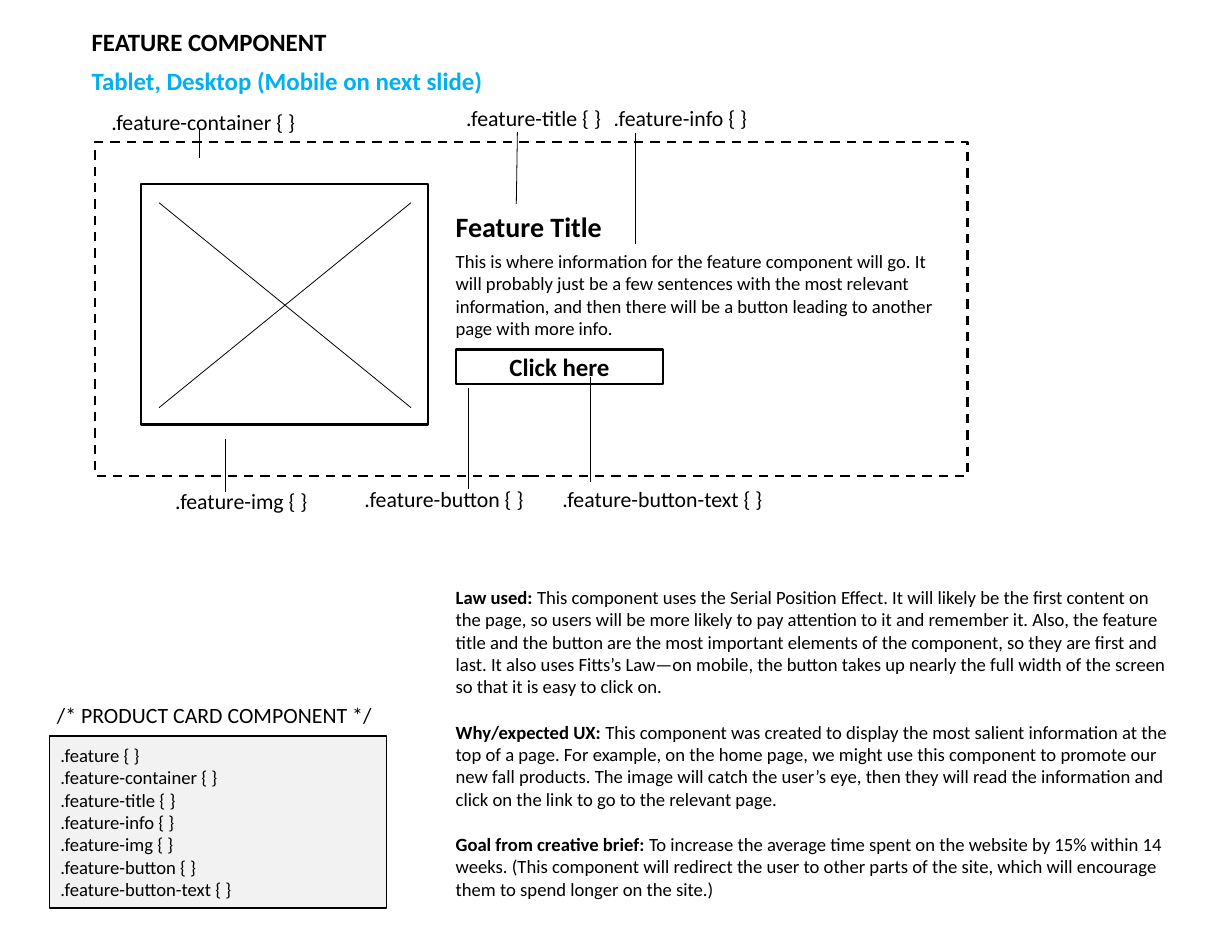
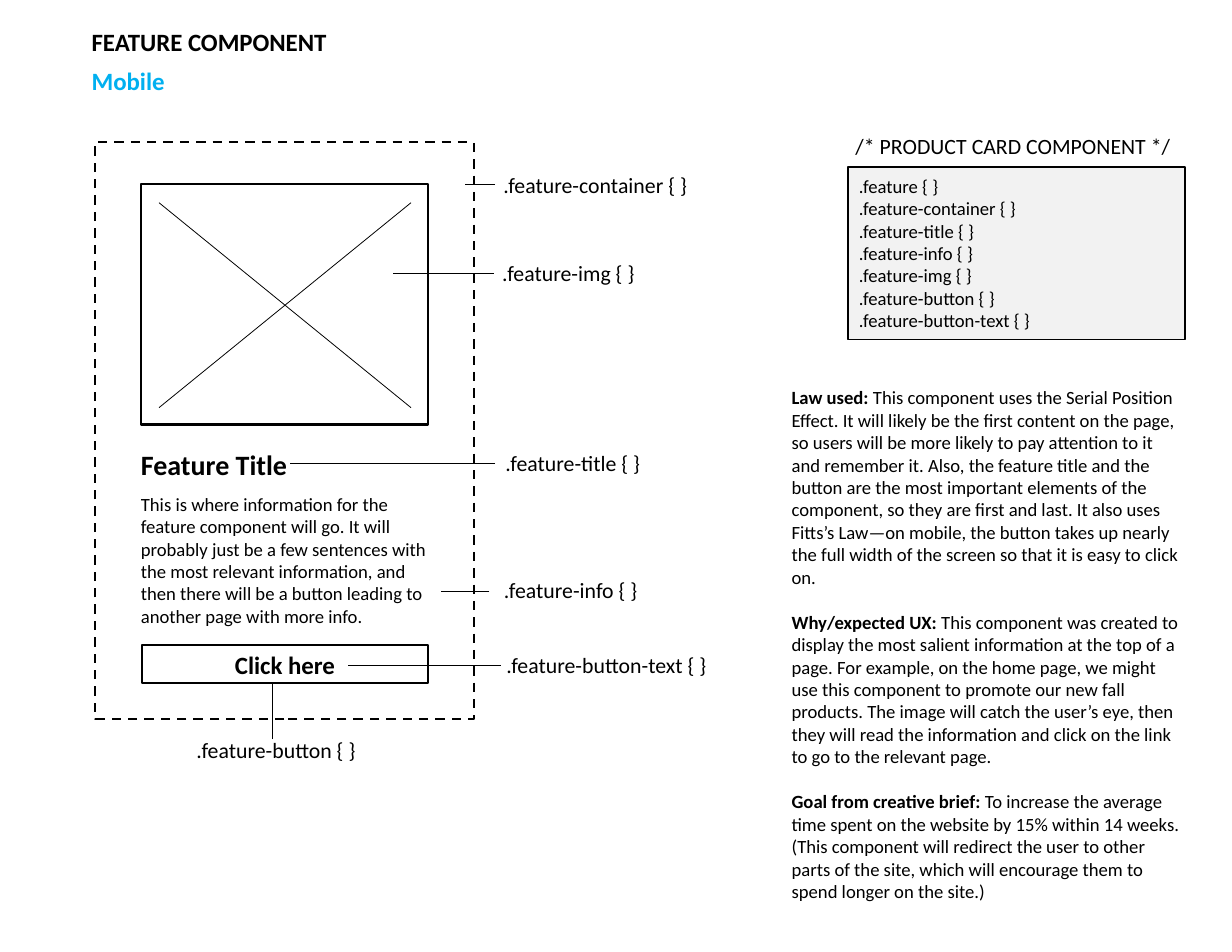
"""Builds the two feature component wireframe slides."""
from dataclasses import dataclass

from lxml import etree
from pptx import Presentation
from pptx import util as u
from pptx.dml import color
from pptx.enum import dml, shapes, text
from pptx.oxml import ns

COLUMNS, ROWS = 11, 8.5
LABEL_WIDTH, LABEL_HEIGHT = 2.61, 0.34

INFO = (
    "This is where information for the feature component will go. It will probably just be "
    "a few sentences with the most relevant information, and then there will be a button "
    "leading to another page with more info."
)
RATIONALE = {
    "Law used: ": (
        "This component uses the Serial Position Effect. It will likely be the first content "
        "on the page, so users will be more likely to pay attention to it and remember it. "
        "Also, the feature title and the button are the most important elements of the "
        "component, so they are first and last. It also uses Fitts’s Law—on mobile, the "
        "button takes up nearly the full width of the screen so that it is easy to click on."
    ),
    "Why/expected UX: ": (
        "This component was created to display the most salient information at the top of a "
        "page. For example, on the home page, we might use this component to promote our new "
        "fall products. The image will catch the user’s eye, then they will read the "
        "information and click on the link to go to the relevant page."
    ),
    "Goal from creative brief: ": (
        "To increase the average time spent on the website by 15% within 14 weeks. (This "
        "component will redirect the user to other parts of the site, which will encourage "
        "them to spend longer on the site.)"
    ),
}
PARTS = ("", "-container", "-title", "-info", "-img", "-button", "-button-text")


@dataclass(frozen=True)
class Theme:
    """Colours, font, type sizes and line weights."""
    font: str = "Calibri"
    ink: str = "000000"
    accent: str = "00B0F0"
    paper: str = "FFFFFF"
    panel: str = "F2F2F2"
    title: int = 18
    heading: int = 16
    label: int = 14
    body: int = 12
    paragraph_gap: float = 14.65
    frame_line: float = 1.5
    panel_line: float = 1
    hair_line: float = 0.5


THEME = Theme()


def selector(part):
    """Return the empty CSS rule for one part of the component."""
    return f".feature{part} {{ }}"


def write(paragraph, words, *, size=THEME.body, ink=THEME.ink, bold=False, centred=False):
    """Add one formatted run to a paragraph."""
    run = paragraph.add_run()
    run.text = words
    run.font.name = THEME.font
    run.font.size = u.Pt(size)
    run.font.bold = bold
    run.font.color.rgb = color.RGBColor.from_string(ink)
    paragraph.alignment = text.PP_ALIGN.CENTER if centred else text.PP_ALIGN.LEFT


class Wireframe:
    """Draws wireframe elements on the current slide, placed by columns and rows."""

    def __init__(self, presentation):
        """Set the slide size and derive the grid from it."""
        self.presentation = presentation
        presentation.slide_width, presentation.slide_height = u.Inches(11), u.Inches(8.5)
        self.column = presentation.slide_width / COLUMNS
        self.row = presentation.slide_height / ROWS
        self.slide = None

    def grid(self, *cells):
        """Turn alternating columns and rows into lengths."""
        steps = (self.column, self.row) * (len(cells) // 2)
        return [u.Emu(round(cell * step)) for cell, step in zip(cells, steps)]

    def start(self, subtitle):
        """Add a blank slide with the shared heading and its subtitle."""
        self.slide = self.presentation.slides.add_slide(self.presentation.slide_layouts[6])
        self.text((0.72, 0.19, 4.8, 0.37), "FEATURE COMPONENT", size=THEME.heading, bold=True)
        self.text((0.72, 0.54, 4.8, 0.37), subtitle, size=THEME.heading, bold=True,
                  ink=THEME.accent)

    def frame(self, area):
        """Add an empty wrapping text box and return its text frame."""
        frame = self.slide.shapes.add_textbox(*self.grid(*area)).text_frame
        frame.word_wrap = True
        return frame

    def text(self, area, words, **style):
        """Add a text box with a single paragraph."""
        write(self.frame(area).paragraphs[0], words, **style)

    def box(self, area, *, fill=THEME.paper, weight=THEME.frame_line, dashed=False):
        """Add an outlined rectangle and return its text frame."""
        shape = self.slide.shapes.add_shape(shapes.MSO_SHAPE.RECTANGLE, *self.grid(*area))
        shape.shadow.inherit = False
        shape.fill.solid()
        shape.fill.fore_color.rgb = color.RGBColor.from_string(fill)
        shape.line.color.rgb = color.RGBColor.from_string(THEME.ink)
        shape.line.width = u.Pt(weight)
        if dashed:
            shape.line.dash_style = dml.MSO_LINE.DASH
        shape.text_frame.word_wrap = True
        shape.text_frame.vertical_anchor = text.MSO_ANCHOR.MIDDLE
        return shape.text_frame

    def line(self, *ends):
        """Add a hairline between two grid points."""
        connector = self.slide.shapes.add_connector(
            shapes.MSO_CONNECTOR.STRAIGHT, *self.grid(*ends))
        connector.line.color.rgb = color.RGBColor.from_string(THEME.ink)
        connector.line.width = u.Pt(THEME.hair_line)
        etree.SubElement(connector._element.spPr, ns.qn("a:effectLst"))

    def image_box(self):
        """Add the crossed box that stands for the feature image."""
        self.box((1.26, 1.64, 2.56, 2.15))
        left, top, right, bottom = 1.42, 1.81, 3.67, 3.64
        self.line(left, top, right, bottom)
        self.line(left, bottom, right, top)

    def button(self, area):
        """Add the call-to-action button."""
        frame = self.box(area)
        frame.margin_top = frame.margin_bottom = 0
        write(frame.paragraphs[0], "Click here", size=THEME.heading, bold=True, centred=True)

    def callout(self, part, left, top, leader):
        """Add a selector label and its leader line."""
        self.text((left, top, LABEL_WIDTH, LABEL_HEIGHT), selector(part),
                  size=THEME.label, centred=True)
        self.line(*leader)

    def code_panel(self, left, top):
        """Add the captioned panel that lists every selector."""
        self.text((left - 0.03, top - 0.35, 3.04, 0.34), "/* PRODUCT CARD COMPONENT */",
                  size=THEME.label)
        frame = self.box((left, top, 3.01, 1.54), fill=THEME.panel, weight=THEME.panel_line)
        for index, part in enumerate(PARTS):
            paragraph = frame.add_paragraph() if index else frame.paragraphs[0]
            write(paragraph, selector(part))

    def rationale(self, area):
        """Add the design notes, each with a bold lead."""
        frame = self.frame(area)
        for index, (lead, body) in enumerate(RATIONALE.items()):
            paragraph = frame.add_paragraph() if index else frame.paragraphs[0]
            if index:
                paragraph.space_before = u.Pt(THEME.paragraph_gap)
            write(paragraph, lead, bold=True)
            write(paragraph, body)

    def component(self, *, container, title, info, button, callouts):
        """Draw one layout of the feature component with its callouts."""
        self.box(container, dashed=True)
        self.image_box()
        self.text(title, "Feature Title", size=THEME.title, bold=True)
        self.text(info, INFO)
        self.button(button)
        for callout in callouts:
            self.callout(*callout)


def desktop(wireframe):
    """Build the tablet and desktop slide."""
    wireframe.start("Tablet, Desktop (Mobile on next slide)")
    wireframe.component(
        container=(0.85, 1.27, 7.79, 2.98),
        title=(3.97, 1.82, 1.95, 0.4),
        info=(3.97, 2.18, 4.48, 0.91),
        button=(4.07, 3.12, 1.85, 0.31),
        callouts=(
            ("-container", 0.51, 0.92, (1.78, 1.14, 1.78, 1.41)),
            ("-title", 3.46, 0.89, (4.62, 1.18, 4.61, 1.82)),
            ("-info", 4.77, 0.89, (5.67, 1.19, 5.67, 2.18)),
            ("-img", 0.85, 4.31, (2.01, 3.92, 2.01, 4.39)),
            ("-button", 2.66, 4.29, (4.18, 3.46, 4.18, 4.37)),
            ("-button-text", 4.61, 4.29, (5.27, 3.37, 5.27, 4.3)),
        ),
    )
    wireframe.code_panel(0.44, 6.57)
    wireframe.rationale((3.97, 5.18, 6.59, 2.93))


def mobile(wireframe):
    """Build the mobile slide."""
    wireframe.start("Mobile")
    wireframe.component(
        container=(0.85, 1.27, 3.38, 5.15),
        title=(1.16, 3.95, 1.95, 0.4),
        info=(1.16, 4.35, 2.86, 1.31),
        button=(1.27, 5.76, 2.55, 0.34),
        callouts=(
            ("-container", 4.01, 1.48, (4.42, 1.65, 4.15, 1.65)),
            ("-img", 3.77, 2.27, (4.41, 2.44, 3.51, 2.44)),
            ("-title", 3.81, 3.97, (4.42, 4.14, 2.59, 4.14)),
            ("-info", 3.79, 5.1, (4.37, 5.28, 3.94, 5.28)),
            ("-button-text", 4.11, 5.77, (4.47, 5.94, 3.11, 5.94)),
            ("-button", 1.16, 6.53, (2.43, 6.6, 2.43, 6.11)),
        ),
    )
    wireframe.code_panel(7.57, 1.49)
    wireframe.rationale((6.97, 3.4, 3.7, 4.75))


def main():
    """Build both slides and save the presentation."""
    presentation = Presentation()
    wireframe = Wireframe(presentation)
    desktop(wireframe)
    mobile(wireframe)
    presentation.save("out.pptx")


if __name__ == "__main__":
    main()
